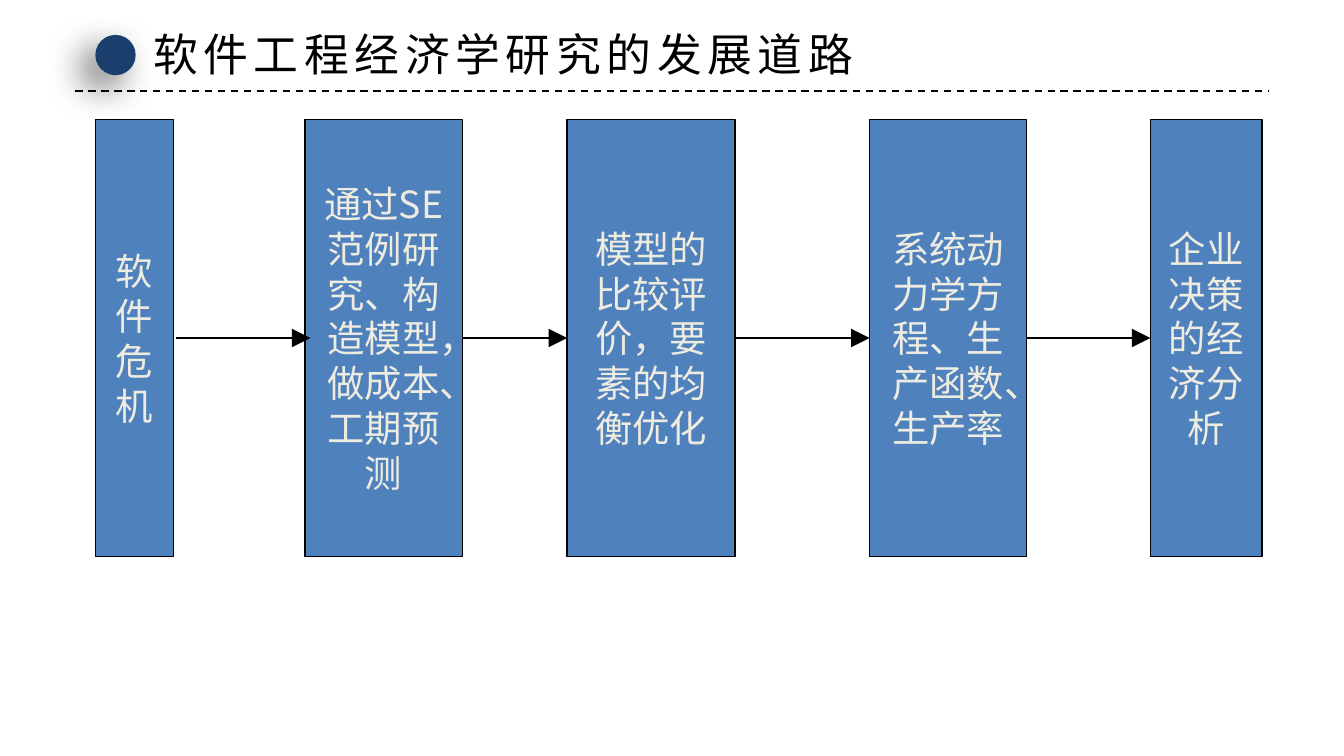
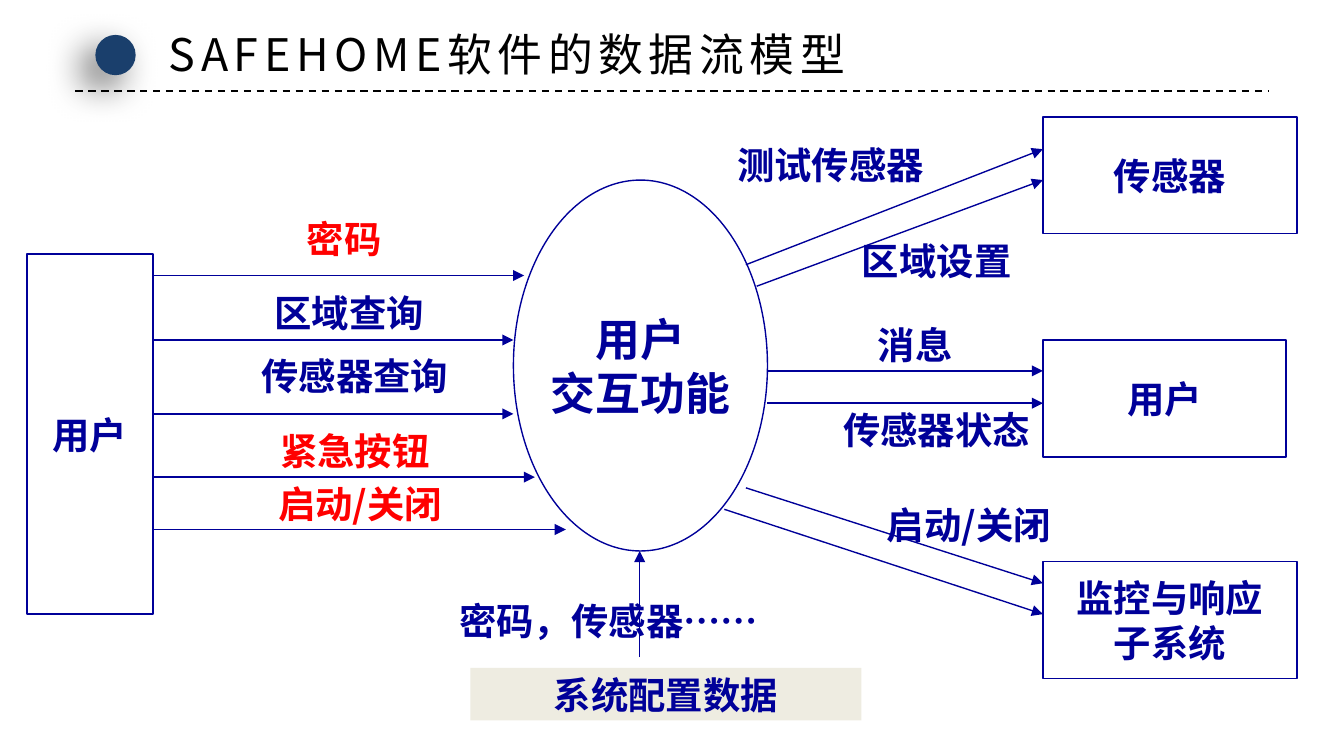
from lxml import etree
from pptx import Presentation
from pptx.dml.color import RGBColor
from pptx.enum import dml, shapes, text
from pptx.oxml.ns import qn
from pptx.util import Inches, Pt

FONT = "Noto Sans CJK SC"
BLACK, WHITE, NAVY, RED = "000000", "FFFFFF", "000099", "FF0000"
DOT_BLUE, STAGE_BLUE, CREAM = "1A3F6C", "4F81BD", "EEECE1"
RECT, OVAL = shapes.MSO_SHAPE.RECTANGLE, shapes.MSO_SHAPE.OVAL
SLIDE_WIDTH = 10
HANGING = 0.38

ROAD_TITLE = ("软件工程经济学研究的发展道路", 5.5)
STAGE_TOP, STAGE_HEIGHT = 0.89, 3.25
STAGES = [  # wording, left, width
    ("软件危机", 0.71, 0.58),
    ("通过SE范例研究、构造模型，做成本、工期预测", 2.27, 1.17),
    ("模型的比较评价，要素的均衡优化", 4.22, 1.25),
    ("系统动力学方程、生产函数、生产率", 6.47, 1.17),
    ("企业决策的经济分析", 8.56, 0.83),
]
STAGE_STEPS = [(1.31, 2.31), (3.44, 4.22), (5.47, 6.47), (7.64, 8.56)]

FLOW_TITLE = (" SAFEHOME软件的数据流模型", 5.56)
USER_RIGHT, TARGET_LEFT = 1.14, 7.76
NODES = [  # wording, form, place, text size, fill, line
    ("用户\n交互功能", OVAL, (3.82, 1.34, 1.89, 2.76), 24, WHITE, NAVY),
    ("传感器", RECT, (TARGET_LEFT, 0.87, 1.89, 0.87), 20, WHITE, NAVY),
    ("用户", RECT, (TARGET_LEFT, 2.53, 1.81, 0.87), 20, WHITE, NAVY),
    ("监控与响应\n子系统", RECT, (TARGET_LEFT, 4.18, 1.89, 0.87), 20, WHITE, NAVY),
    ("用户", RECT, (0.2, 1.89, 0.94, 2.68), 20, WHITE, NAVY),
    ("系统配置数据", RECT, (3.5, 4.97, 2.91, 0.39), 20, CREAM, None),
]
INPUT_FLOWS = [(3.9, 2.05), (3.82, 2.53), (3.82, 3.08), (3.98, 3.55), (4.21, 3.94)]
OUTPUT_FLOWS = [  # start x, start y, end y
    (5.55, 1.97, 1.11), (5.63, 2.13, 1.34), (5.71, 2.76, 2.76),
    (5.71, 3, 3), (5.55, 3.63, 4.34), (5.39, 3.79, 4.57),
]
CONFIG_FLOW = ((4.76, 4.89), (4.76, 4.1))
LABEL_HEIGHT = 0.39
LABELS = [  # wording, left, top, width, colour
    ("区域查询", 1.3, 2.13, 2.6, NAVY),
    ("紧急按钮", 1.3, 3.16, 2.68, RED),
    ("传感器查询", 1.38, 2.6, 2.52, NAVY),
    ("启动/关闭", 1.3, 3.55, 2.76, RED),
    ("密码", 1.3, 1.58, 2.52, RED),
    ("测试传感器", 5, 1.03, 2.36, NAVY),
    ("区域设置", 5.71, 1.74, 2.52, NAVY),
    ("消息", 5.47, 2.37, 2.68, NAVY),
    ("传感器状态", 5.63, 3, 2.68, NAVY),
    ("启动/关闭", 5.87, 3.71, 2.68, NAVY),
    ("密码，传感器……", 3.28, 4.42, 2.5, NAVY),
]


def rgb(colour):
    return RGBColor.from_string(colour)


def inches(lengths):
    return [Inches(length) for length in lengths]


def write(frame, wording, size, colour, align=text.PP_ALIGN.CENTER, bold=False,
          wrap=False, anchor=text.MSO_ANCHOR.MIDDLE, hanging=0, spacing=0):
    frame.text = wording
    frame.word_wrap = wrap
    frame.vertical_anchor = anchor
    for paragraph in frame.paragraphs:
        paragraph.alignment = align
        font = paragraph.font
        font.size, font.bold, font.name = Pt(size), bold, FONT
        font.color.rgb = rgb(colour)
        properties = paragraph._p.pPr
        defaults = properties.find(qn("a:defRPr"))
        etree.SubElement(defaults, qn("a:ea"), typeface=FONT)
        if spacing:
            defaults.set("spc", str(spacing * 100))
        if hanging:
            properties.set("marL", str(Inches(hanging)))
            properties.set("indent", str(-Inches(hanging)))


def add_block(slide, form, place, fill, line=None):
    block = slide.shapes.add_shape(form, *inches(place))
    block.shadow.inherit = False
    block.fill.solid()
    block.fill.fore_color.rgb = rgb(fill)
    if line:
        block.line.color.rgb = rgb(line)
        block.line.width = Pt(0.75)
    else:
        block.line.fill.background()
    return block


def add_line(slide, start, end, colour, width):
    line = slide.shapes.add_connector(
        shapes.MSO_CONNECTOR.STRAIGHT, *inches(start + end))
    line.line.color.rgb = rgb(colour)
    line.line.width = Pt(width)
    etree.SubElement(line._element.spPr, qn("a:effectLst"))
    return line


def add_arrow(slide, start, end, colour, width, head="med"):
    arrow = add_line(slide, start, end, colour, width)
    etree.SubElement(arrow.line._get_or_add_ln(), qn("a:tailEnd"),
                     type="triangle", w=head, len=head)


def add_soft_shadow(block):
    effects = block._element.spPr.find(qn("a:effectLst"))
    shadow = etree.SubElement(
        effects, qn("a:outerShdw"), blurRad=str(Pt(20)), dist=str(Pt(10)),
        dir=str(135 * 60000), algn="tr", rotWithShape="0")
    colour = etree.SubElement(shadow, qn("a:srgbClr"), val=BLACK)
    etree.SubElement(colour, qn("a:alpha"), val="60000")


def add_titled_slide(deck, heading, width):
    slide = deck.slides.add_slide(deck.slide_layouts[5])
    rule = add_line(slide, (0.56, 0.68), (9.44, 0.68), BLACK, 1)
    rule.line.dash_style = dml.MSO_LINE.DASH
    add_soft_shadow(add_block(slide, OVAL, (0.71, 0.26, 0.3, 0.3), DOT_BLUE))
    title = slide.shapes.title
    title.left, title.top, title.width, title.height = inches((1.04, 0.15, width, 0.5))
    write(title.text_frame, heading, 24, BLACK, align=text.PP_ALIGN.LEFT,
          anchor=text.MSO_ANCHOR.TOP, spacing=3)
    title.text_frame.auto_size = text.MSO_AUTO_SIZE.SHAPE_TO_FIT_TEXT
    return slide


def build_road(deck):
    slide = add_titled_slide(deck, *ROAD_TITLE)
    for wording, left, width in STAGES:
        stage = add_block(slide, RECT, (left, STAGE_TOP, width, STAGE_HEIGHT),
                          STAGE_BLUE, BLACK)
        write(stage.text_frame, wording, 20, CREAM, wrap=True)
    middle = STAGE_TOP + STAGE_HEIGHT / 2
    for start, end in STAGE_STEPS:
        add_arrow(slide, (start, middle), (end, middle), BLACK, 1.5, head="lg")


def build_data_flow(deck):
    slide = add_titled_slide(deck, *FLOW_TITLE)
    for wording, form, place, size, fill, line in NODES:
        node = add_block(slide, form, place, fill, line)
        write(node.text_frame, wording, size, NAVY, bold=True, hanging=HANGING)
    flows = [((USER_RIGHT, y), (x, y)) for x, y in INPUT_FLOWS]
    flows += [((x, y), (TARGET_LEFT, end_y)) for x, y, end_y in OUTPUT_FLOWS]
    for start, end in flows + [CONFIG_FLOW]:
        add_arrow(slide, start, end, NAVY, 0.75)
    for wording, left, top, width, colour in LABELS:
        label = slide.shapes.add_textbox(*inches((left, top, width, LABEL_HEIGHT)))
        write(label.text_frame, wording, 20, colour, bold=True, hanging=HANGING)


def main():
    deck = Presentation()
    deck.slide_width, deck.slide_height = inches((SLIDE_WIDTH, SLIDE_WIDTH * 9 / 16))
    build_road(deck)
    build_data_flow(deck)
    deck.save("out.pptx")


if __name__ == "__main__":
    main()
